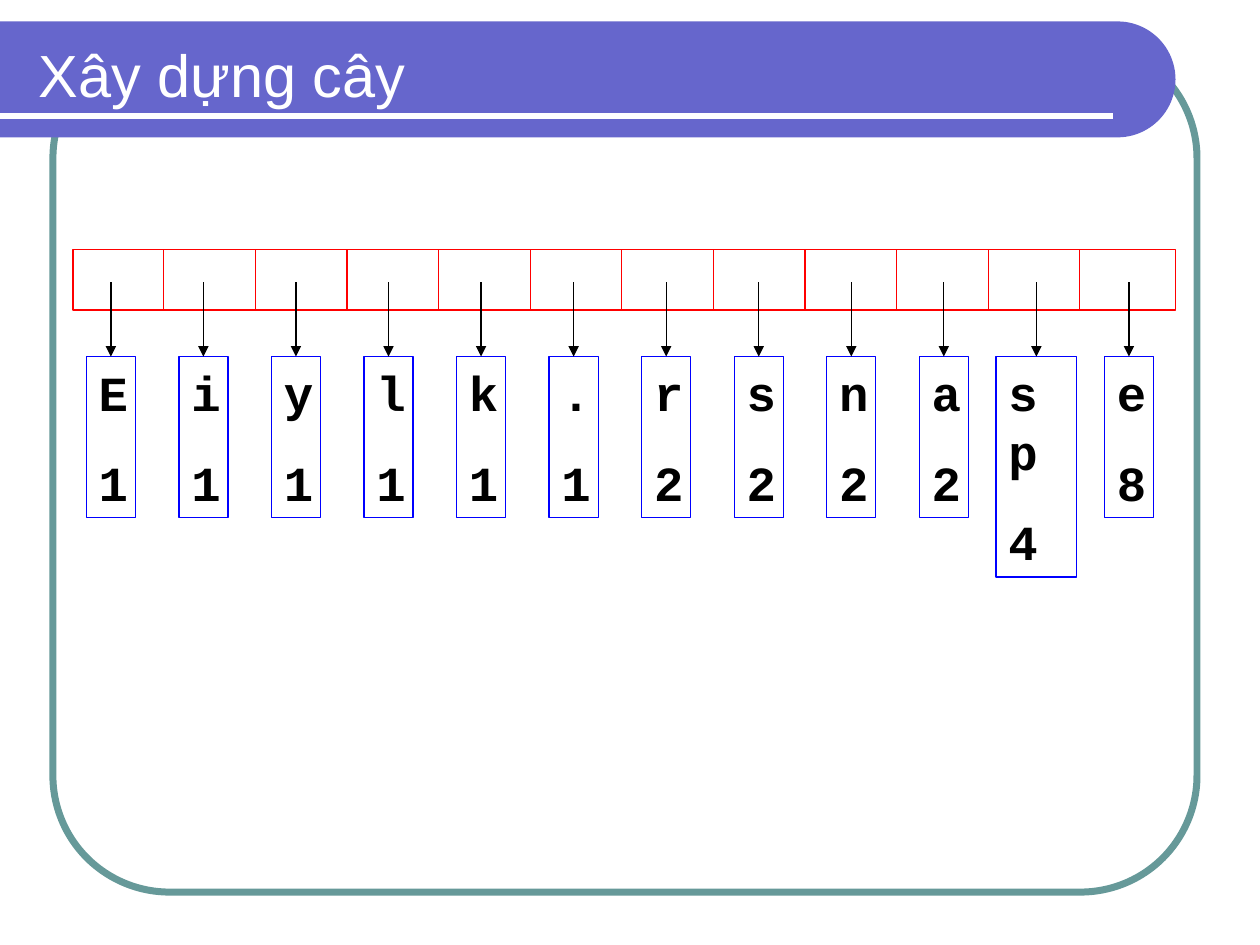
from math import cos, pi, sin

from lxml.etree import SubElement
from pptx import Presentation
from pptx.dml.color import RGBColor
from pptx.enum.shapes import MSO_CONNECTOR as CONN, MSO_SHAPE as SHAPE
from pptx.enum.text import MSO_ANCHOR as ANCHOR, MSO_AUTO_SIZE as AUTO
from pptx.oxml.ns import qn
from pptx.util import Inches, Pt


def rgb(value):
    return RGBColor.from_string(value)


def add_line(x1, y1, x2, y2, color, width):
    ln = s.shapes.add_connector(
        CONN.STRAIGHT, Inches(x1), Inches(y1), Inches(x2), Inches(y2))
    ln.line.color.rgb = rgb(color)
    ln.line.width = Pt(width)
    SubElement(ln._element.spPr, qn("a:effectLst"))
    return ln


prs = Presentation()
prs.slide_width, prs.slide_height = Inches(10), Inches(7.5)
s = prs.slides.add_slide(prs.slide_layouts[6])

# Rounded frame
sp = s.shapes.add_shape(
    SHAPE.ROUNDED_RECTANGLE, Inches(0.42), Inches(0.33), Inches(9.08), Inches(6.75))
sp.adjustments[0] = 0.137
sp.shadow.inherit = False
sp.fill.background()
sp.line.color.rgb = rgb("669999")
sp.line.width = Pt(4)

# Title banner with a semicircular right end
radius, cx, cy, steps = 0.46, 8.87, 0.63, 48
angles = [-pi / 2 + pi * i / steps for i in range(steps + 1)]
arc = [(Inches(cx + radius * cos(a)), Inches(cy + radius * sin(a))) for a in angles]
fb = s.shapes.build_freeform(0, Inches(cy - radius))
fb.add_line_segments(arc + [(0, Inches(cy + radius))], close=True)
sp = fb.convert_to_shape()
sp.shadow.inherit = False
sp.fill.solid()
sp.fill.fore_color.rgb = rgb("6666CC")
sp.line.fill.background()
add_line(0, 0.92, 8.83, 0.92, "FFFFFF", 3)

# Title
sp = s.shapes.add_textbox(Inches(0.21), Inches(0.25), Inches(8.77), Inches(0.67))
tf = sp.text_frame
tf.word_wrap = True
tf.vertical_anchor = ANCHOR.MIDDLE
r = tf.paragraphs[0].add_run()
r.text = "Xây dựng cây"
r.font.color.rgb = rgb("FFFFFF")
for name, value in {"name": "Arial", "size": Pt(34)}.items():
    setattr(r.font, name, value)

# Queue: one bar cut into cells
nodes = [("E", 1), ("i", 1), ("y", 1), ("l", 1), ("k", 1), (".", 1),
         ("r", 2), ("s", 2), ("n", 2), ("a", 2), ("sp", 4), ("e", 8)]
top, bottom = 1.98, 2.46
sp = s.shapes.add_shape(
    SHAPE.RECTANGLE, Inches(0.58), Inches(top), Inches(8.75), Inches(bottom - top))
sp.shadow.inherit = False
sp.fill.solid()
sp.fill.fore_color.rgb = rgb("FFFFFF")
sp.line.color.rgb = rgb("FF0000")
sp.line.width = Pt(0.75)
first, last = 1.3, 8.57
for i in range(len(nodes) - 1):
    x = first + (last - first) * i / (len(nodes) - 2)
    add_line(x, top, x, bottom, "FF0000", 0.75)

# Nodes, each with an arrow from its cell
first, last = 0.88, 8.96
node_font = {"name": "Courier New", "size": Pt(28), "bold": True}
frame_format = {
    "word_wrap": True, "auto_size": AUTO.SHAPE_TO_FIT_TEXT,
    "vertical_anchor": ANCHOR.TOP,
    "margin_left": Inches(0.1), "margin_right": Inches(0.1),
    "margin_top": Inches(0.05), "margin_bottom": Inches(0.05)}
for i, (letter, count) in enumerate(nodes):
    x = first + (last - first) * i / (len(nodes) - 1)
    w, h = (0.64, 1.75) if len(letter) > 1 else (0.39, 1.28)
    sp = s.shapes.add_shape(
        SHAPE.RECTANGLE, Inches(x - w / 2), Inches(2.83), Inches(w), Inches(h))
    sp.shadow.inherit = False
    sp.fill.background()
    sp.line.color.rgb = rgb("0000FF")
    sp.line.width = Pt(0.75)
    tf = sp.text_frame
    for name, value in frame_format.items():
        setattr(tf, name, value)
    tf.text = f"{letter}\n{count}"
    for p in tf.paragraphs:
        p.alignment = 1
        p.space_before = Pt(17.5)
        p.font.color.rgb = rgb("000000")
        r = p.runs[0]
        r.font.color.rgb = rgb("000000")
        for name, value in node_font.items():
            setattr(r.font, name, value)

    arrow = add_line(x, 2.24, x, 2.83, "000000", 0.75)
    arrow.end_connect(sp, 0)
    SubElement(arrow.line._get_or_add_ln(), qn("a:tailEnd"), type="triangle")

prs.save("out.pptx")
